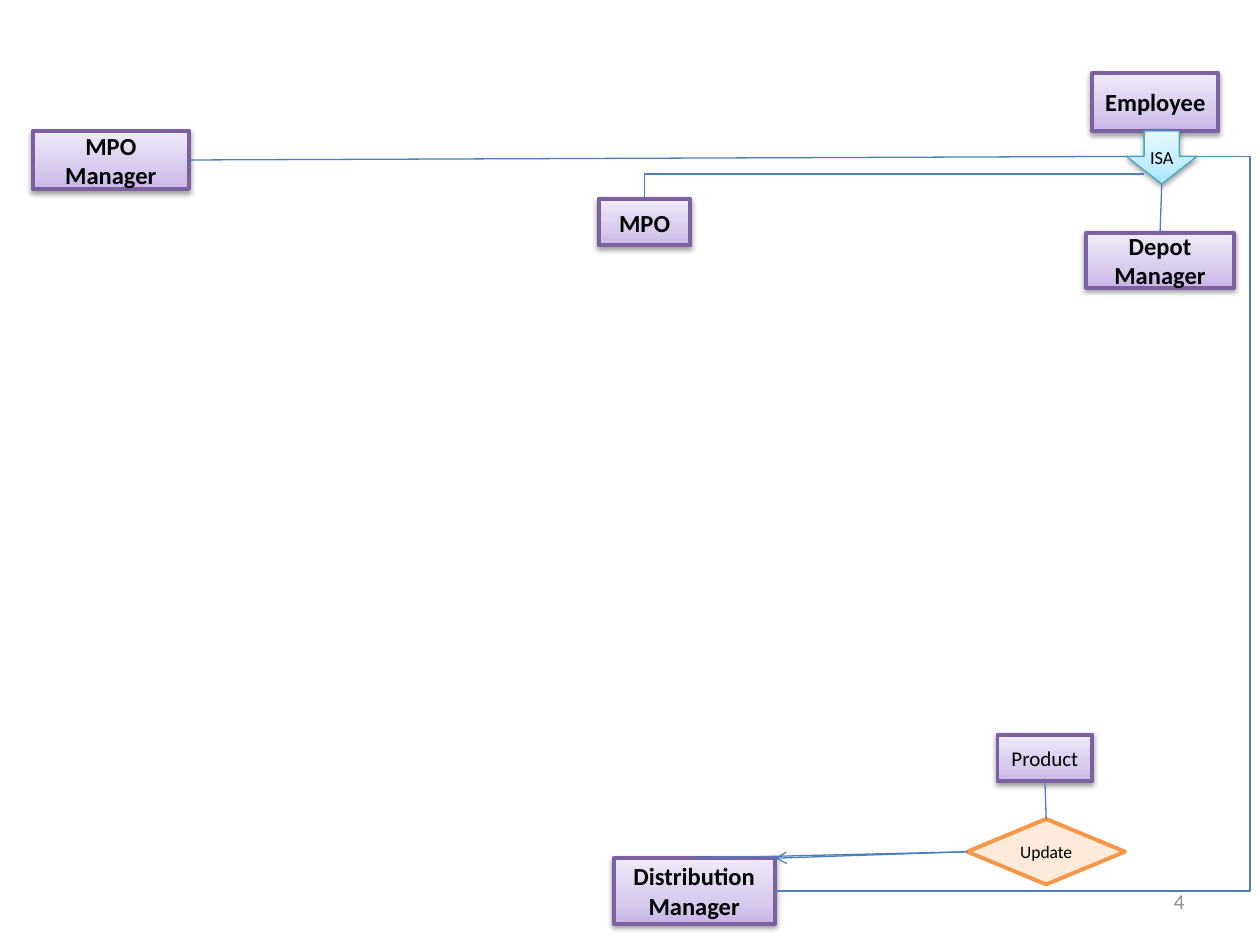
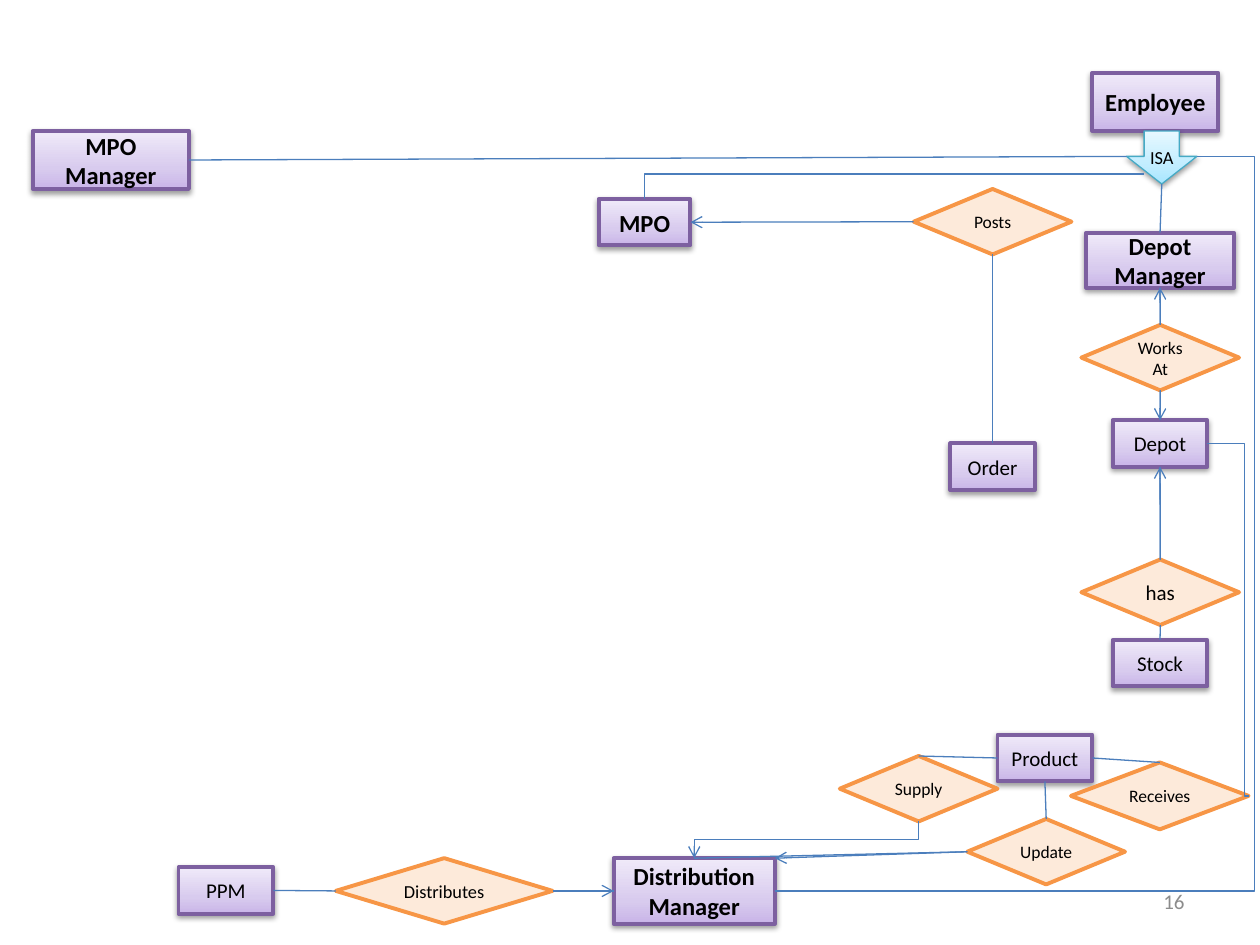
import pptx
import pptx.util
import pptx.dml.color
import pptx.enum.shapes
import pptx.enum.text
import pptx.oxml.ns
import lxml.etree

Cm = pptx.util.Cm
Pt = pptx.util.Pt
qn = pptx.oxml.ns.qn
MSO = pptx.enum.shapes.MSO_SHAPE
CONNECTOR = pptx.enum.shapes.MSO_CONNECTOR
ALIGN = pptx.enum.text.PP_ALIGN
ANCHOR = pptx.enum.text.MSO_ANCHOR

FONT = "Calibri"
COLORS = {
    "text": "000000", "number": "8C8C8C", "link": "4B7EBC",
    "entity_line": "7D60A0", "isa_line": "46AAC5",
    "relation": "FDEADA", "relation_line": "F79646",
}
GRADIENTS = {
    "entity": [(0, "C9B5E8"), (35, "D8CBEE"), (100, "F0EAF9")],
    "isa": [(0, "A7E6FF"), (35, "C1EDFF"), (100, "E7F8FF")],
}
KINDS = {
    "role": dict(shape=MSO.RECTANGLE, fill="entity", width=2.25, size=14, bold=True),
    "entity": dict(shape=MSO.RECTANGLE, fill="entity", width=2.25, size=12),
    "isa": dict(shape=MSO.DOWN_ARROW, fill="isa", width=0.75, size=10.5),
    "relation": dict(shape=MSO.FLOWCHART_DECISION, fill="relation", width=2.25, size=10),
}
SITES = {
    "left": (0, 0.5), "right": (1, 0.5), "top": (0.5, 0), "bottom": (0.5, 1),
    "corner": (1, 0), "left wing": (0, 0.48), "right wing": (1, 0.48), "slope": (0.25, 0.81),
}
DIAMOND = (3.18, 1.32)
BOX = (1.91, 0.94)

SHARED_NODES = [
    ("Employee", "role", 22.02, 1.47, (2.54, 1.17), {}),
    ("ISA", "isa", 22.71, 2.64, (1.42, 1.07), {}),
    ("Distribution Manager", "role", 12.37, 17.3, (3.25, 1.32), {}),
    ("MPO", "role", 12.07, 4.01, (1.85, 0.94), {}),
    ("MPO Manager", "role", 0.66, 2.64, (3.15, 1.17), {}),
    ("Depot Manager", "role", 21.9, 4.69, (2.97, 1.11), {}),
    ("Update", "relation", 19.5, 16.51, DIAMOND, {}),
    ("Product", "entity", 20.11, 14.81, BOX, {}),
]
SHARED_LINKS = [
    ("ISA", "slope", "MPO", "top", dict(bend="corner")),
    ("ISA", "left wing", "MPO Manager", "right", {}),
    ("ISA", "bottom", "Depot Manager", "top", {}),
    ("Distribution Manager", "top", "Update", "left", {}),
    ("Product", "bottom", "Update", "top", {}),
    ("Update", "left", "Distribution Manager", "corner", dict(arrow=True)),
]
FULL_NODES = [
    ("Supply", "relation", 16.93, 15.24, DIAMOND, {}),
    ("Depot", "entity", 22.43, 8.47, BOX, {}),
    ("Receives", "relation", 21.59, 15.37, (3.58, 1.35), {}),
    ("Distributes", "relation", 6.77, 17.3, (4.37, 1.32), dict(size=10.5)),
    ("PPM", "entity", 3.6, 17.48, BOX, {}),
    ("has", "relation", 21.8, 11.28, DIAMOND, dict(size=12)),
    ("Stock", "entity", 22.43, 12.9, BOX, {}),
    ("Works At", "relation", 21.8, 6.55, DIAMOND, {}),
    ("Posts", "relation", 18.42, 3.81, DIAMOND, {}),
    ("Order", "entity", 19.16, 8.94, (1.7, 0.94), {}),
]
FULL_LINKS = [
    ("Supply", "top", "Product", "left", {}),
    ("Receives", "top", "Product", "right", {}),
    ("Depot", "right", "Receives", "right", dict(bend="rail", rail=25.09)),
    ("Distribution Manager", "left", "Distributes", "right", {}),
    ("Distributes", "left", "PPM", "right", {}),
    ("Depot", "bottom", "has", "top", {}),
    ("has", "bottom", "Stock", "top", {}),
    ("Depot Manager", "bottom", "Works At", "top", {}),
    ("Works At", "bottom", "Depot", "top", {}),
    ("Posts", "bottom", "Order", "top", {}),
    ("Supply", "bottom", "Distribution Manager", "top", dict(bend="drop", arrow=True)),
    ("Distributes", "right", "Distribution Manager", "left", dict(arrow=True)),
    ("has", "top", "Depot", "bottom", dict(arrow=True)),
    ("Posts", "left", "MPO", "right", dict(arrow=True)),
    ("Works At", "top", "Depot Manager", "bottom", dict(arrow=True)),
    ("Works At", "bottom", "Depot", "top", dict(arrow=True)),
]
SLIDES = [
    dict(number="4", rail=25.2, nodes=[], links=[]),
    dict(number="16", rail=25.29, nodes=FULL_NODES, links=FULL_LINKS),
]


def rgb(name):
    return pptx.dml.color.RGBColor.from_string(COLORS[name])


def sub(parent, tag, **attrs):
    return lxml.etree.SubElement(parent, qn(tag), attrs)


def write(sp, text, size=12, bold=False, color="text", align=ALIGN.CENTER, wrap=True):
    tf = sp.text_frame
    tf.word_wrap = wrap
    tf.vertical_anchor = ANCHOR.MIDDLE
    p = tf.paragraphs[0]
    p.alignment = align
    r = p.add_run()
    r.text = text
    r.font.name = FONT
    r.font.size = Pt(size)
    r.font.bold = bold
    r.font.color.rgb = rgb(color)


def fill_gradient(sp, stops):
    sp.fill.gradient()
    sp.fill.gradient_angle = 90
    gs_list = sp._element.spPr.find(".//" + qn("a:gsLst"))
    for gs in list(gs_list):
        gs_list.remove(gs)
    for pos, color in stops:
        sub(sub(gs_list, "a:gs", pos=str(pos * 1000)), "a:srgbClr", val=color)


def add_shadow(sp):
    effects = sp._element.spPr.find(qn("a:effectLst"))
    shadow = sub(effects, "a:outerShdw", blurRad="40000", dist="20000", dir="5400000", rotWithShape="0")
    sub(sub(shadow, "a:srgbClr", val="000000"), "a:alpha", val="38000")


def add_node(slide, name, kind, left, top, extent, size=None):
    style = KINDS[kind]
    fill = style["fill"]
    sp = slide.shapes.add_shape(style["shape"], Cm(left), Cm(top), Cm(extent[0]), Cm(extent[1]))
    sp.line.color.rgb = rgb(fill + "_line")
    sp.line.width = Pt(style["width"])
    sp.shadow.inherit = False
    if fill in GRADIENTS:
        fill_gradient(sp, GRADIENTS[fill])
        add_shadow(sp)
    else:
        sp.fill.solid()
        sp.fill.fore_color.rgb = rgb(fill)
    if kind == "isa":
        sp.adjustments[1] = 0.52
        sp.text_frame.margin_top, sp.text_frame.margin_bottom = Cm(0.25), 0
    write(sp, name, size=size or style["size"], bold=style.get("bold", False), wrap=kind != "isa")


def site(node, name):
    left, top, (width, height) = node[2:5]
    fx, fy = SITES[name]
    return left + fx * width, top + fy * height


def add_link(slide, start, end, bend=None, rail=None, arrow=False):
    (x1, y1), (x2, y2) = start, end
    if bend == "drop":
        cx, cy = (x1 + x2) / 2, (y1 + y2) / 2
        x1, y1, x2, y2 = cx + y1 - cy, cy + cx - x1, cx + y2 - cy, cy + cx - x2
    kind = CONNECTOR.ELBOW if bend else CONNECTOR.STRAIGHT
    cn = slide.shapes.add_connector(kind, Cm(x1), Cm(y1), Cm(x2), Cm(y2))
    cn.line.color.rgb = rgb("link")
    cn.line.width = Pt(0.75)
    props = cn._element.spPr
    geom = props.find(qn("a:prstGeom"))
    if bend == "drop":
        props.find(qn("a:xfrm")).set("rot", "5400000")
    elif bend == "corner":
        geom.set("prst", "bentConnector2")
    elif bend == "rail":
        ratio = round((rail - x1) / (x2 - x1) * 100000)
        sub(geom.find(qn("a:avLst")), "a:gd", name="adj1", fmla=f"val {ratio}")
    if arrow:
        sub(props.find(qn("a:ln")), "a:tailEnd", type="arrow")
    sub(props, "a:effectLst")


def build_slide(prs, number, rail, nodes, links):
    slide = prs.slides.add_slide(prs.slide_layouts[6])
    nodes = SHARED_NODES + nodes
    by_name = {node[0]: node for node in nodes}
    outer = ("ISA", "right wing", "Distribution Manager", "right", dict(bend="rail", rail=rail))
    for *place, options in nodes:
        add_node(slide, *place, **options)
    for a, site_a, b, site_b, options in SHARED_LINKS + [outer] + links:
        add_link(slide, site(by_name[a], site_a), site(by_name[b], site_b), **options)
    box = slide.shapes.add_textbox(Cm(18.2), Cm(17.65), Cm(5.93), Cm(1.02))
    write(box, number, color="number", align=ALIGN.RIGHT)


prs = pptx.Presentation()
prs.slide_width, prs.slide_height = Cm(25.4), Cm(19.05)
for content in SLIDES:
    build_slide(prs, **content)
prs.save("out.pptx")
